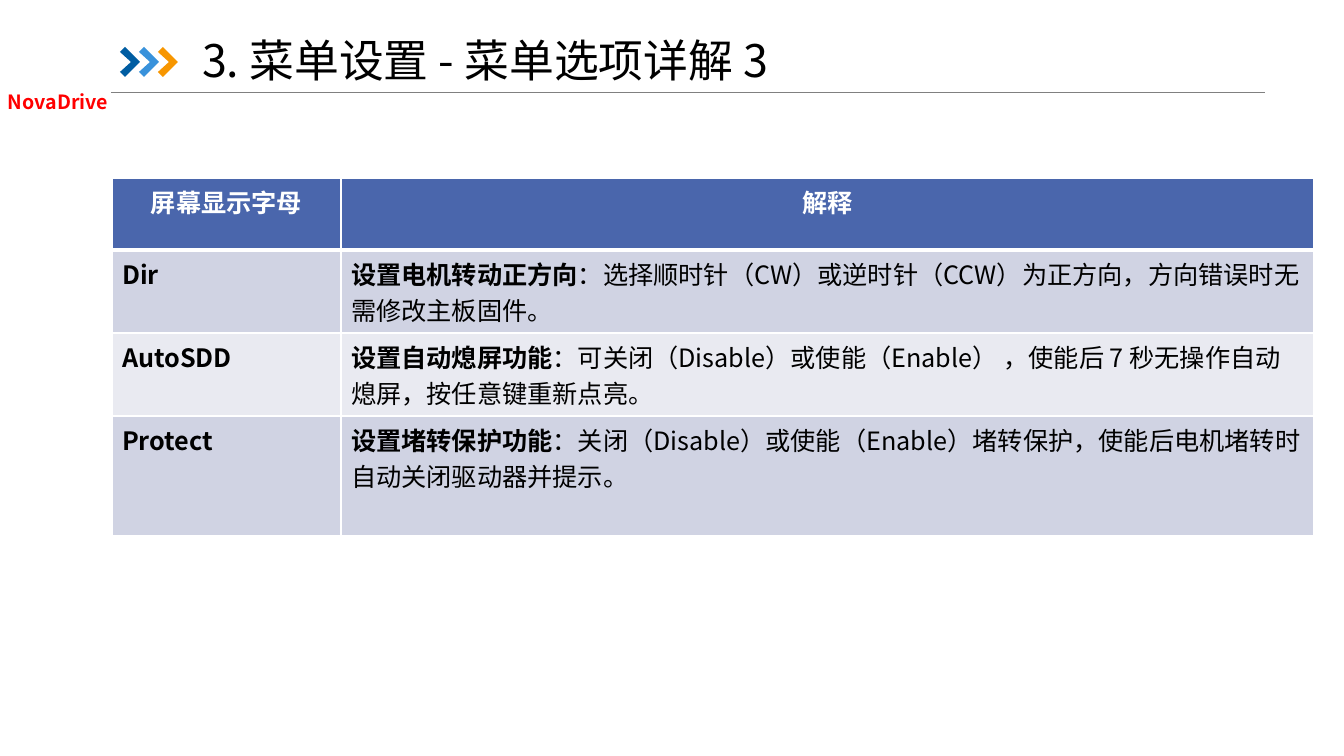
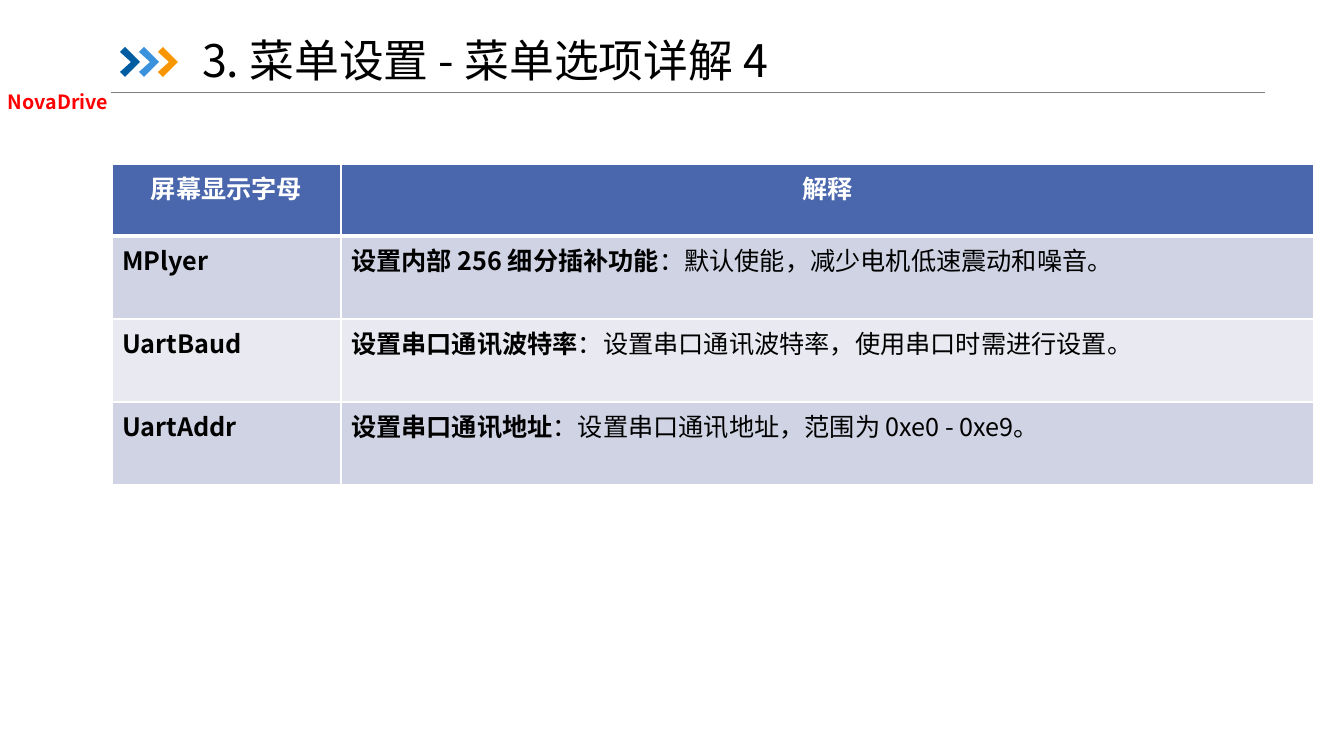
from lxml.etree import SubElement
from pptx import Presentation
from pptx.dml.color import RGBColor
from pptx.enum.shapes import MSO_CONNECTOR
from pptx.enum.text import MSO_ANCHOR, MSO_AUTO_SIZE, PP_ALIGN
from pptx.oxml import parse_xml
from pptx.oxml.ns import nsdecls, qn
from pptx.util import Pt

EMU_PER_PIXEL = 914400 / 100.8
FONT = "Noto Sans CJK SC"
COLORS = {
    "black": "000000",
    "white": "FFFFFF",
    "red": "FF0000",
    "gray": "808080",
    "navy": "005DA2",
    "sky": "3992DB",
    "orange": "F79600",
    "header": "4A66AC",
    "odd_row": "D0D3E3",
    "even_row": "E9EAF1",
}
CHEVRON_POINTS = [(0, 5), (5, 0), (20, 15), (5, 30), (0, 25), (11, 15)]
COLUMN_WIDTHS = [229, 973]
TABLE_HEADER = ("屏幕显示字母", "", "解释")

MENU_SLIDES = [
    {
        "title": "3. 菜单设置 - 菜单选项详解 3",
        "top": 178,
        "heights": [72, 83, 83, 120],
        "rows": [
            ("Dir", "设置电机转动正方向", "：选择顺时针（CW）或逆时针（CCW）为正方向，方向错误时无需修改主板固件。"),
            ("AutoSDD", "设置自动熄屏功能", "：可关闭（Disable）或使能（Enable） ，使能后 7 秒无操作自动熄屏，按任意键重新点亮。"),
            ("Protect", "设置堵转保护功能", "：关闭（Disable）或使能（Enable）堵转保护，使能后电机堵转时自动关闭驱动器并提示。"),
        ],
    },
    {
        "title": "3. 菜单设置 - 菜单选项详解 4",
        "top": 164,
        "heights": [72, 83, 83, 83],
        "rows": [
            ("MPlyer", "设置内部 256 细分插补功能", "：默认使能，减少电机低速震动和噪音。"),
            ("UartBaud", "设置串口通讯波特率", "：设置串口通讯波特率，使用串口时需进行设置。"),
            ("UartAddr", "设置串口通讯地址", "：设置串口通讯地址，范围为 0xe0 - 0xe9。"),
        ],
    },
]


def px(length):
    return round(length * EMU_PER_PIXEL)


def color(name):
    return RGBColor.from_string(COLORS[name])


class Deck:
    def __init__(self):
        self.presentation = Presentation()
        self.presentation.slide_width = px(1344)
        self.presentation.slide_height = px(756)
        self.slide = None

    def add_slide(self, title):
        layout = self.presentation.slide_layouts[5]
        self.slide = self.presentation.slides.add_slide(layout)
        self.add_brand("NovaDrive")
        self.add_rule(111, 92, 1265)
        for index, name in enumerate(["navy", "sky", "orange"]):
            self.add_chevron(120 + 19 * index, 47, name)
        self.set_title(title)

    def format_run(self, run, size, color_name, bold=False):
        run.font.size = Pt(size)
        run.font.bold = bold
        run.font.color.rgb = color(color_name)
        run.font.name = FONT
        SubElement(run.font._element, qn("a:ea")).set("typeface", FONT)

    def set_title(self, text):
        shape = self.slide.shapes.title
        shape.left, shape.top, shape.width, shape.height = map(px, (192, 41, 1074, 43))
        frame = shape.text_frame
        frame.text = text
        frame.auto_size = MSO_AUTO_SIZE.NONE
        frame.vertical_anchor = MSO_ANCHOR.MIDDLE
        paragraph = frame.paragraphs[0]
        paragraph.alignment = PP_ALIGN.LEFT
        paragraph.line_spacing = 0.9
        self.format_run(paragraph.runs[0], 32, "black")

    def add_brand(self, text):
        shape = self.slide.shapes.add_textbox(*map(px, (-2, 85, 123, 34)))
        frame = shape.text_frame
        frame.word_wrap = True
        frame.text = text
        self.format_run(frame.paragraphs[0].runs[0], 14, "red", True)

    def add_rule(self, left, top, right):
        connector = self.slide.shapes.add_connector(
            MSO_CONNECTOR.STRAIGHT, px(left), px(top), px(right), px(top))
        connector.line.color.rgb = color("gray")
        connector.line.width = Pt(0.5)
        SubElement(connector._element.spPr, qn("a:effectLst"))

    def add_chevron(self, left, top, color_name):
        points = [(left + x, top + y) for x, y in CHEVRON_POINTS]
        builder = self.slide.shapes.build_freeform(*points[0], scale=EMU_PER_PIXEL)
        builder.add_line_segments(points[1:], close=True)
        shape = builder.convert_to_shape()
        shape.shadow.inherit = False
        shape.fill.solid()
        shape.fill.fore_color.rgb = color(color_name)
        shape.line.fill.background()

    def add_table(self, top, heights, rows):
        frame = self.slide.shapes.add_table(
            len(heights), len(COLUMN_WIDTHS), px(112), px(top),
            px(sum(COLUMN_WIDTHS)), px(sum(heights)))
        table = frame.table
        for column, width in zip(table.columns, COLUMN_WIDTHS):
            column.width = px(width)
        for index, (height, content) in enumerate(zip(heights, [TABLE_HEADER, *rows])):
            table.rows[index].height = px(height)
            if index == 0:
                label, _, heading = content
                texts = [[label], [heading]]
            else:
                label, name, detail = content
                texts = [[label], [name, detail]]
            for cell, parts in zip(table.rows[index].cells, texts):
                self.fill_cell(cell, parts, index)

    def fill_cell(self, cell, parts, row_index):
        is_header = row_index == 0
        paragraph = cell.text_frame.paragraphs[0]
        paragraph.alignment = PP_ALIGN.CENTER if is_header else PP_ALIGN.LEFT
        for index, text in enumerate(parts):
            run = paragraph.add_run()
            run.text = text
            self.format_run(run, 18, "white" if is_header else "black", index == 0)
        cell.fill.solid()
        fill_name = "header" if is_header else "odd_row" if row_index % 2 else "even_row"
        cell.fill.fore_color.rgb = color(fill_name)
        self.set_borders(cell, {"L": 1, "R": 1, "T": 3 if row_index == 1 else 1, "B": 3 if is_header else 1})

    def set_borders(self, cell, widths):
        properties = cell._tc.get_or_add_tcPr()
        for index, (side, width) in enumerate(widths.items()):
            properties.insert(index, parse_xml(
                f'<a:ln{side} {nsdecls("a")} w="{Pt(width)}"><a:solidFill>'
                f'<a:srgbClr val="{COLORS["white"]}"/></a:solidFill></a:ln{side}>'))


def main():
    deck = Deck()
    for menu in MENU_SLIDES:
        deck.add_slide(menu["title"])
        deck.add_table(menu["top"], menu["heights"], menu["rows"])
    deck.presentation.save("out.pptx")


if __name__ == "__main__":
    main()
